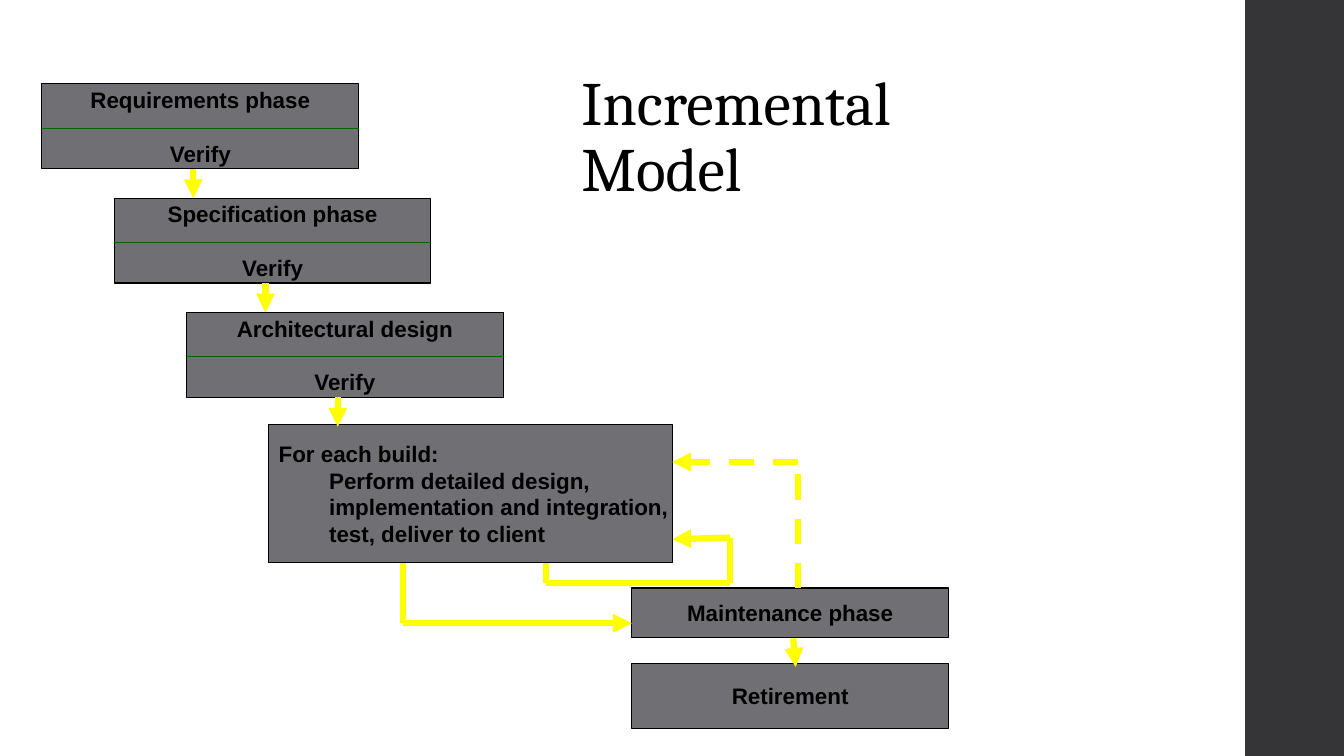
import pptx
import pptx.util
import pptx.dml.color
import pptx.enum.dml
import pptx.enum.shapes
import pptx.enum.text
import pptx.oxml
import pptx.oxml.ns

RGB = pptx.dml.color.RGBColor
ALIGN = pptx.enum.text.PP_ALIGN
ANCHOR = pptx.enum.text.MSO_ANCHOR
KIND = pptx.enum.shapes.MSO_SHAPE.RECTANGLE
LINK = pptx.enum.shapes.MSO_CONNECTOR.STRAIGHT
DASH = pptx.enum.dml.MSO_LINE.DASH

BLACK = RGB(0x00, 0x00, 0x00)
GREY = RGB(0x6F, 0x6F, 0x74)
DARK = RGB(0x35, 0x35, 0x37)
YELLOW = RGB(0xFF, 0xFF, 0x00)
GREEN = RGB(0x00, 0x66, 0x00)

# Content; places are columns and rows of a 16 by 9 grid
TITLE = "Incremental Model"
PHASES = ["Requirements phase", "Specification phase", "Architectural design"]
CHECK = "Verify"
BUILD = ["For each build:",
         "Perform detailed design, \vimplementation and integration,",
         "test, deliver to client"]
ENDS = [("Maintenance phase", 7, 0.59), ("Retirement", 7.9, 0.77)]
LOOP = [(6.5, 6.62), (6.5, 6.94), (8.69, 6.94), (8.69, 6.4), (8, 6.42)]
FEED = [(4.8, 6.7), (4.8, 7.42), (7.52, 7.42)]
BACK = [(9.5, 7), (9.5, 5.5), (8, 5.5)]
LAST = [(9.44, 7.6), (9.47, 7.94)]

# Sizes in grid units
WIDE, HIGH = 3.77, 1.01
LEFT, TOP = 0.5, 1
STEP, DROP = 0.86, 1.36
SPLIT, STEM = 0.53, 1.8

# Formats
LABEL = {"name": "Arial", "size": pptx.util.Pt(16), "bold": True}
HEAD = {"name": "Cambria", "size": pptx.util.Pt(44), "bold": False}
FRAME = {"word_wrap": False, "vertical_anchor": ANCHOR.MIDDLE}

deck = pptx.Presentation()
deck.slide_width = pptx.util.Inches(13.33)
deck.slide_height = pptx.util.Inches(7.5)
slide = deck.slides.add_slide(deck.slide_layouts[5])
shapes = slide.shapes


def unit(num):
    return round(num * deck.slide_height / 9)


def style(item, form):
    for key, value in form.items():
        setattr(item, key, value)


def block(x, y, w, h, fill):
    part = shapes.add_shape(KIND, unit(x), unit(y), unit(w), unit(h))
    part.shadow.inherit = False
    part.fill.solid()
    part.fill.fore_color.rgb = fill
    part.line.fill.background()
    return part


def box(x, y, w, h, lines, align=ALIGN.CENTER):
    part = block(x, y, w, h, GREY)
    part.line.color.rgb = BLACK
    part.line.width = pptx.util.Pt(0.75)
    frame = part.text_frame
    style(frame, FRAME)
    for i, line in enumerate(lines):
        para = frame.paragraphs[0] if i == 0 else frame.add_paragraph()
        para.text = line
        para.alignment = align
        for run in para.runs:
            style(run.font, LABEL)
            run.font.color.rgb = BLACK
    return frame.paragraphs


def route(points, color=YELLOW, width=4.5, dash=None, arrow=True):
    for start, end in zip(points, points[1:]):
        link = shapes.add_connector(LINK, *map(unit, start + end))
        link.line.color.rgb = color
        link.line.width = pptx.util.Pt(width)
        if dash:
            link.line.dash_style = dash
        props = link._element.spPr
        if arrow and end == points[-1]:
            line = props.find(pptx.oxml.ns.qn("a:ln"))
            line.append(pptx.oxml.parse_xml(
                f'<a:tailEnd {pptx.oxml.ns.nsdecls("a")} type="triangle"/>'))
        props.append(pptx.oxml.parse_xml(
            f'<a:effectLst {pptx.oxml.ns.nsdecls("a")}/>'))


# Side bar
block(14.82, 0, 1.18, 9, DARK)

# Title
title = shapes.title
style(title, {"left": unit(6.8), "top": unit(0.5),
              "width": unit(5), "height": unit(2.3)})
title.text_frame.text = TITLE
style(title.text_frame, {**FRAME, "word_wrap": True})
head = title.text_frame.paragraphs[0]
style(head, {"alignment": ALIGN.LEFT, "line_spacing": 0.9})
style(head.font, HEAD)
head.font.color.rgb = BLACK

# Build step and its loop
route(LOOP)
paras = box(3.2, 5.05, 4.8, 1.65, BUILD, ALIGN.LEFT)
for para in paras[1:]:
    para.level = 1
    style(para._p.get_or_add_pPr(),
          {"marL": pptx.util.Inches(0.5), "indent": 0})

# Cascade of phases
for i, phase in enumerate(PHASES):
    x, y = LEFT + i * STEP, TOP + i * DROP
    paras = box(x, y, WIDE, HIGH, [phase, CHECK])
    paras[1].space_before = pptx.util.Pt(19)
    route([(x, y + SPLIT), (x + WIDE, y + SPLIT)], GREEN, 0.75, arrow=False)
    route([(x + STEM, y + HIGH), (x + STEM, y + DROP)])

# Closing phases and their arrows
for name, y, h in ENDS:
    box(7.52, y, WIDE, h, [name])
route(FEED)
route(LAST)
route(BACK, dash=DASH)

deck.save("out.pptx")
